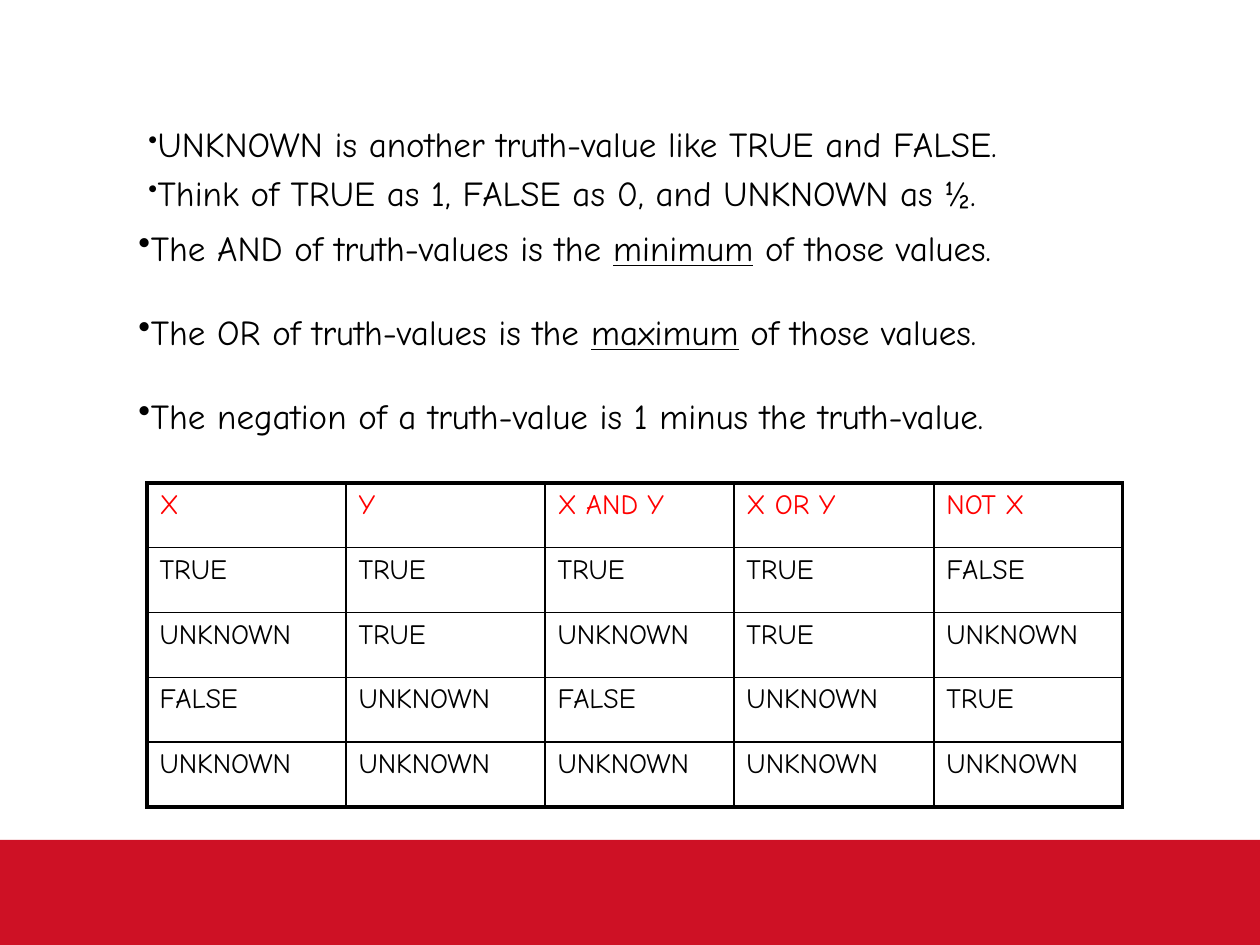
from lxml import etree
from pptx import Presentation
from pptx import util as u
from pptx.dml.color import RGBColor
from pptx.enum import shapes
from pptx.oxml.ns import qn

PX = 914400 // 126
FONT, BLACK, RED, BAND = "Comic Neue", "000000", "FF0000", "CE1125"
THIN, THICK = 1, 2.25

# Each line is a list of (words, underlined) pieces.
INTRO = [
    [("UNKNOWN is another truth-value like TRUE and FALSE.", False)],
    [("Think of TRUE as 1, FALSE as 0, and UNKNOWN as ½.", False)],
]
RULES = [
    [("The AND of truth-values is the ", False), ("minimum", True),
     (" of those values.", False)],
    [("The OR of truth-values is the ", False), ("maximum", True),
     (" of those values.", False)],
    [("The negation of a truth-value is 1 minus the truth-value.", False)],
]
TRUTH_TABLE = [
    ["X", "Y", "X AND Y", "X OR Y", "NOT X"],
    ["TRUE", "TRUE", "TRUE", "TRUE", "FALSE"],
    ["UNKNOWN", "TRUE", "UNKNOWN", "TRUE", "UNKNOWN"],
    ["FALSE", "UNKNOWN", "FALSE", "UNKNOWN", "TRUE"],
    ["UNKNOWN"] * 5,
]
COLUMN_WIDTHS = [199, 199, 189, 200, 189]
TABLE_LEFT, TABLE_TOP, TABLE_HEIGHT = 147, 483, 324


def px(*lengths):
    return [u.Emu(length * PX) for length in lengths]


def rgb(color):
    return RGBColor.from_string(color)


def style(font, size, color):
    font.name, font.size = FONT, u.Pt(size)
    font.color.rgb = rgb(color)


def add_bullets(slide, box, lines, gap, bullet_percent):
    frame = slide.shapes.add_textbox(*px(*box)).text_frame
    frame.word_wrap = True
    for i, pieces in enumerate(lines):
        paragraph = frame.paragraphs[0] if i == 0 else frame.add_paragraph()
        properties = paragraph._p.get_or_add_pPr()
        etree.SubElement(properties, qn("a:buSzPct"), val=str(bullet_percent * 1000))
        etree.SubElement(properties, qn("a:buChar"), char="•")
        paragraph.space_before = u.Pt(gap if i else 0)
        for words, underlined in pieces:
            run = paragraph.add_run()
            run.text = words
            style(run.font, 20, BLACK)
            run.font.underline = underlined


def set_borders(cell, widths):
    """Draw the left, right, top and bottom borders, widths in points."""
    properties = cell._tc.get_or_add_tcPr()
    for i, (side, width) in enumerate(zip("LRTB", widths)):
        line = etree.Element(qn(f"a:ln{side}"), w=str(u.Pt(width)))
        fill = etree.SubElement(line, qn("a:solidFill"))
        etree.SubElement(fill, qn("a:srgbClr"), val=BLACK)
        properties.insert(i, line)


def add_truth_table(slide):
    row_count, column_count = len(TRUTH_TABLE), len(COLUMN_WIDTHS)
    table = slide.shapes.add_table(
        row_count, column_count,
        *px(TABLE_LEFT, TABLE_TOP, sum(COLUMN_WIDTHS), TABLE_HEIGHT)).table
    for column, width in zip(table.columns, COLUMN_WIDTHS):
        column.width = px(width)[0]
    for r, values in enumerate(TRUTH_TABLE):
        table.rows[r].height = u.Emu(TABLE_HEIGHT * PX // row_count)
        for c, value in enumerate(values):
            cell = table.cell(r, c)
            cell.text = value
            style(cell.text_frame.paragraphs[0].runs[0].font, 16, BLACK if r else RED)
            cell.fill.background()
            outer = (c == 0, c == column_count - 1, r == 0, r == row_count - 1)
            set_borders(cell, [THICK if edge else THIN for edge in outer])


def main():
    deck = Presentation()
    deck.slide_width, deck.slide_height = px(1260, 945)
    slide = deck.slides.add_slide(deck.slide_layouts[6])

    band = slide.shapes.add_shape(shapes.MSO_SHAPE.RECTANGLE, *px(0, 840, 1260, 105))
    band.shadow.inherit = False
    band.fill.solid()
    band.fill.fore_color.rgb = rgb(BAND)
    band.line.fill.background()

    add_bullets(slide, (126, 220, 1029, 223), RULES, gap=24, bullet_percent=100)
    add_truth_table(slide)
    add_bullets(slide, (136, 116, 982, 106), INTRO, gap=4, bullet_percent=75)
    deck.save("out.pptx")


if __name__ == "__main__":
    main()
